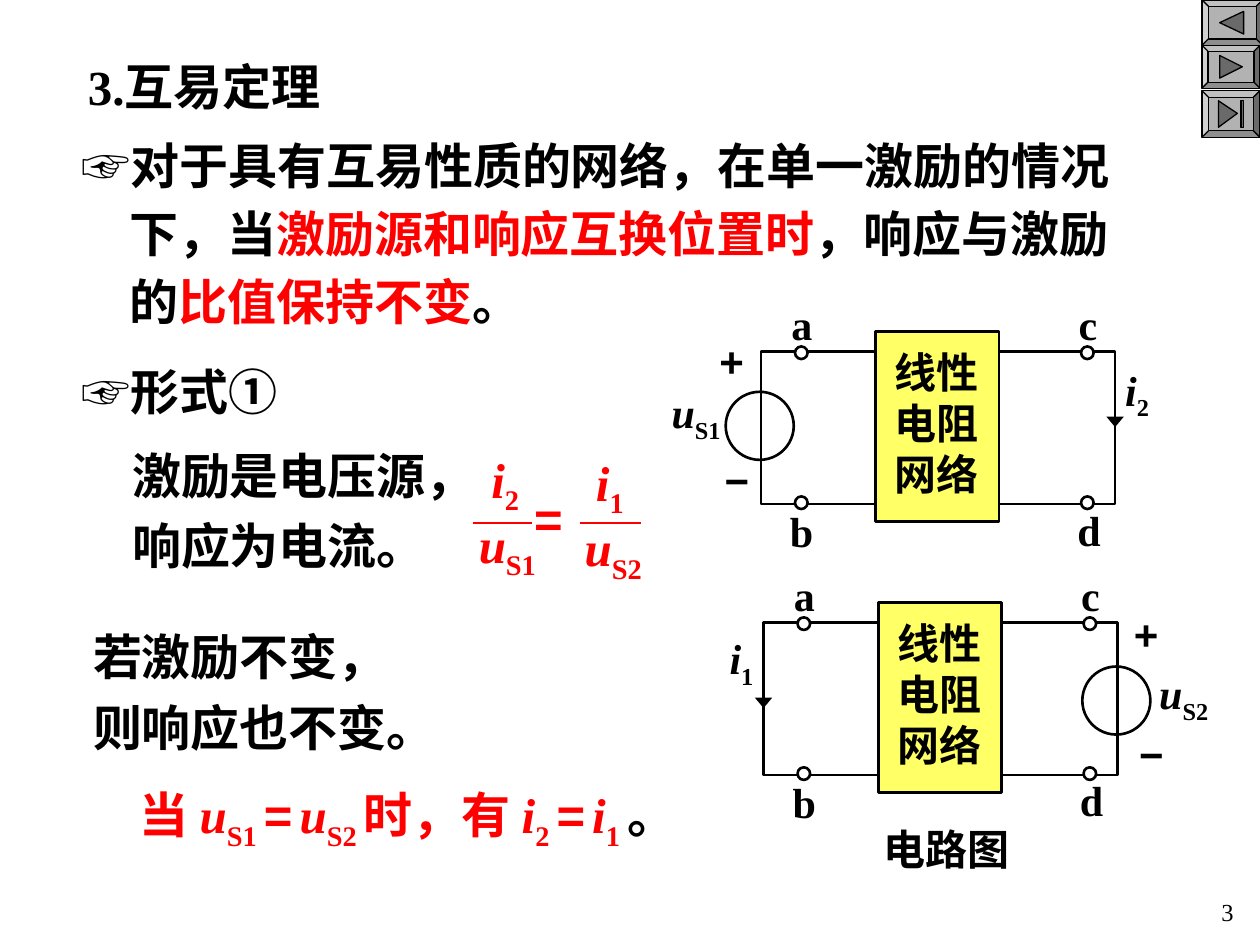
from dataclasses import dataclass
from typing import NamedTuple, Optional, Union
from lxml.etree import SubElement
from pptx import Presentation
from pptx.dml.color import RGBColor
from pptx.enum.shapes import MSO_CONNECTOR, MSO_SHAPE
from pptx.enum.text import MSO_ANCHOR, MSO_AUTO_SIZE, PP_ALIGN
from pptx.oxml.ns import qn
from pptx.util import Emu, Inches, Pt

BLACK = RGBColor(0, 0, 0)
WHITE = RGBColor(255, 255, 255)
RED = RGBColor(255, 0, 0)
YELLOW = RGBColor(0xFF, 0xFF, 0x66)
GRAY = RGBColor(0xB2, 0xB2, 0xB2)
DARK = RGBColor(0x6A, 0x6A, 0x6A)
ROMAN, SANS, HAN = "Times New Roman", "Arial", "Noto Sans CJK SC"
COLS, ROWS = 100, 75
CELL = Inches(10) // COLS
WIDE, TIGHT = (1, 0.5), (0.2, 0.1)


class Run(NamedTuple):
    """A piece of text with what sets it apart."""
    text: str
    color: Optional[RGBColor] = None
    font: Optional[str] = None
    italic: bool = False
    sub: bool = False


class Label(NamedTuple):
    """A short text placed from the corner of a circuit's block."""
    x: float
    y: float
    w: float
    text: Union[str, tuple]
    font: str = ROMAN


@dataclass
class Circuit:
    """A two-port block with a source on one side and a current on the other."""
    x: float
    y: float
    ring: tuple
    flow: tuple
    marks: tuple


def grid(*nums: float) -> list:
    """Turn grid cells into lengths."""
    return [Emu(round(n * CELL)) for n in nums]


def sign(name: str, sub: str, gap: str = "") -> tuple:
    """Give an italic letter with its index."""
    return Run(name, italic=True), Run(sub + gap, sub=True)


def write(slide, at: tuple, *paras, size=28, font=ROMAN, color=BLACK, bold=True, pad=WIDE,
          wrap=True, grow=True, align=None, anchor=MSO_ANCHOR.TOP, lead=None, gap=0, hang=0):
    """Write paragraphs, each a string or a tuple of runs, in a text box."""
    frame = slide.shapes.add_textbox(*grid(*at)).text_frame
    frame.word_wrap, frame.vertical_anchor = wrap, anchor
    frame.auto_size = MSO_AUTO_SIZE.SHAPE_TO_FIT_TEXT if grow else MSO_AUTO_SIZE.NONE
    frame.margin_left, frame.margin_top = frame.margin_right, frame.margin_bottom = grid(*pad)
    for num, runs in enumerate(paras):
        para = frame.add_paragraph() if num else frame.paragraphs[0]
        para.alignment, para.line_spacing = align, lead
        para.space_before = Pt(gap if num else 0)
        if hang:
            props = para._p.get_or_add_pPr()
            props.set("marL", str(grid(hang)[0]))
            props.set("indent", str(-grid(hang)[0]))
        for part in (Run(runs),) if isinstance(runs, str) else runs:
            run = para.add_run()
            run.text, face = part.text, run.font
            face.size, face.bold, face.italic = Pt(size), bold, part.italic
            face.name = part.font or font
            face.color.rgb = part.color or color
            if part.sub:
                face._element.set("baseline", "-25000")
            if any(c > "⺀" or c == "①" for c in part.text):
                SubElement(face._element, qn("a:ea")).set("typeface", HAN)


def style(shape, fill: Optional[RGBColor], width: float = 1.5):
    """Set fill and outline, and drop the shadow."""
    shape.shadow.inherit = False
    if fill is None:
        shape.fill.background()
    else:
        shape.fill.solid()
        shape.fill.fore_color.rgb = fill
    shape.line.color.rgb, shape.line.width = BLACK, Pt(width)


def draw(slide, kind: MSO_SHAPE, at: tuple, fill=None, width: float = 1.5):
    """Draw a preset shape."""
    shape = slide.shapes.add_shape(kind, *grid(*at))
    style(shape, fill, width)
    return shape


def trace(slide, points: list, fill=None, width: float = 1.5, close=False):
    """Draw an outline through points."""
    first, *rest = [grid(*p) for p in points]
    form = slide.shapes.build_freeform(*first, scale=1.0)
    form.add_line_segments(rest, close=close)
    style(form.convert_to_shape(), fill, width)


def link(slide, ends: tuple, color: RGBColor = BLACK, arrow=False):
    """Draw a straight line, with an arrowhead if asked."""
    line = slide.shapes.add_connector(MSO_CONNECTOR.STRAIGHT, *grid(*ends))
    line.line.color.rgb, line.line.width = color, Pt(1.5)
    if arrow:
        tail = SubElement(line.line._get_or_add_ln(), qn("a:tailEnd"))
        tail.set("type", "triangle")
        tail.set("w", "lg")
    SubElement(line._element.spPr, qn("a:effectLst"))


def button(slide, top: float, w: float, h: float, *icons):
    """Draw a bevelled button with its icons."""
    base = draw(slide, MSO_SHAPE.BEVEL, (95.4, top, w, h), GRAY, 0.75)
    base.adjustments[0] = 0.14
    for icon in icons:
        trace(slide, icon, DARK, 0.75, True)


def circuit(slide, net: Circuit):
    """Draw a circuit around its block."""
    x, y = net.x, net.y
    draw(slide, MSO_SHAPE.RECTANGLE, (x, y, 9.8, 15.1), YELLOW)
    write(slide, (x + 0.8, y + 1.9, 8.1, 11.5), "线性", "电阻", "网络", size=24,
          pad=TIGHT, align=PP_ALIGN.CENTER, lead=0.8, gap=6)
    top, low = y + 1.6, y + 13.7
    for near, far in ((0, -9.1), (9.9, 19)):
        trace(slide, [(x + near, top), (x + far, top), (x + far, low), (x + near, low)])
    draw(slide, MSO_SHAPE.OVAL, (x + net.ring[0], y + net.ring[1], 5.4, 5.4))
    across, down = net.flow
    link(slide, (x + across, y + down, x + across, y + down + 3.8), arrow=True)
    for dx in (-6.4, 16.3):
        for dy in (1.2, 13.1):
            draw(slide, MSO_SHAPE.OVAL, (x + dx, y + dy, 1, 1), WHITE)
    ports = (Label(-6.9, -2.7, 2.1, "a"), Label(-7, 13.7, 2.3, "b"),
             Label(15.9, -2.7, 1.9, "c"), Label(15.8, 13.6, 2.3, "d"))
    for tag in ports + net.marks:
        high = 4.2 if isinstance(tag.text, str) else 4.8
        write(slide, (x + tag.x, y + tag.y, tag.w, high), tag.text, size=24,
              font=tag.font, pad=TIGHT, wrap=False)


NETS = (
    Circuit(69.5, 26.3, (-11.9, 4.8), (19, 3.8), (
        Label(-12.6, 0.2, 2.3, "+", SANS), Label(-12.2, 9.7, 1.5, "−", SANS),
        Label(-16.4, 4.3, 4.3, sign("u", "S1")), Label(19.6, 2.5, 2.3, sign("i", "2")))),
    Circuit(69.7, 47.8, (16.2, 5.1), (-9.1, 4.6), (
        Label(20.1, 0.4, 2.3, "+", SANS), Label(20.5, 9.9, 1.5, "−", SANS),
        Label(22.1, 5.1, 4.3, sign("u", "S2")), Label(-12, 2.3, 2.3, sign("i", "1")))),
)
RATIO = ((37.8, 40.7, 6, 5.6, sign("u", "S1")), (42.2, 38.7, 4, 4.9, (Run("=", font=SANS),)),
         (38.8, 35.6, 4, 5.6, sign("i", "2")), (47.1, 35.8, 4, 5.6, sign("i", "1")),
         (46.2, 41, 6, 5.6, sign("u", "S2")))
HAND = Run("☞", font=SANS)
EQUAL = Run("=", font=SANS), Run(" ", sub=True)


def main():
    """Build the slide."""
    deck = Presentation()
    deck.slide_width, deck.slide_height = grid(COLS, ROWS)
    slide = deck.slides.add_slide(deck.slide_layouts[6])
    button(slide, 0, 4.8, 3.6, [(96.8, 1.8), (98.7, 0.9), (98.7, 2.7)])
    button(slide, 3.6, 4.6, 3.4, [(96.8, 4.4), (98.6, 5.3), (96.8, 6.2)])
    button(slide, 7.2, 4.6, 3.7, [(98.2, 9), (96.7, 10.1), (96.7, 8)],
           [(98.5, 8), (98.5, 10.1), (98.7, 10.1), (98.7, 8)])
    write(slide, (6, 4, 30.4, 5.7), "3.互易定理", anchor=MSO_ANCHOR.MIDDLE)
    write(slide, (5.5, 9.6, 84.9, 17.1), (
        HAND, Run("对于具有互易性质的网络，在单一激励的情况下，当"),
        Run("激励源和响应互换位置时", RED), Run("，响应与激励的"),
        Run("比值保持不变", RED), Run("。")), lead=1.15, hang=3.8)
    write(slide, (5.5, 27.5, 35.6, 6.4), (HAND, Run("形式"), Run("①", font=HAN)),
          lead=1.15, hang=3.8)
    write(slide, (9.5, 33.9, 29.5, 12.2), "激励是电压源，", "响应为电流。", font=SANS, lead=1.2)
    for *at, text in RATIO:
        write(slide, at, text, color=RED, pad=TIGHT)
    for left, right in ((37.5, 42.2), (46, 50.9)):
        link(slide, (left, 41.5, right, 41.5), RED)
    write(slide, (6.4, 49.2, 36.7, 11.3), "若激励不变，", "则响应也不变。", gap=7)
    write(slide, (10.1, 61.8, 51.1, 6.3), (
        Run("当 "), *sign("u", "S1", " "), *EQUAL, *sign("u", "S2", " "), Run("时，有 "),
        *sign("i", "2", " "), *EQUAL, *sign("i", "1", " "), Run("。", BLACK)), color=RED)
    for net in NETS:
        circuit(slide, net)
    write(slide, (68.1, 65.3, 14.1, 4.2), "电路图", size=24, pad=TIGHT, align=PP_ALIGN.CENTER)
    write(slide, (92.8, 70.7, 6.1, 3.4), "3", size=14, bold=False, grow=False,
          align=PP_ALIGN.RIGHT)
    deck.save("out.pptx")


if __name__ == "__main__":
    main()
